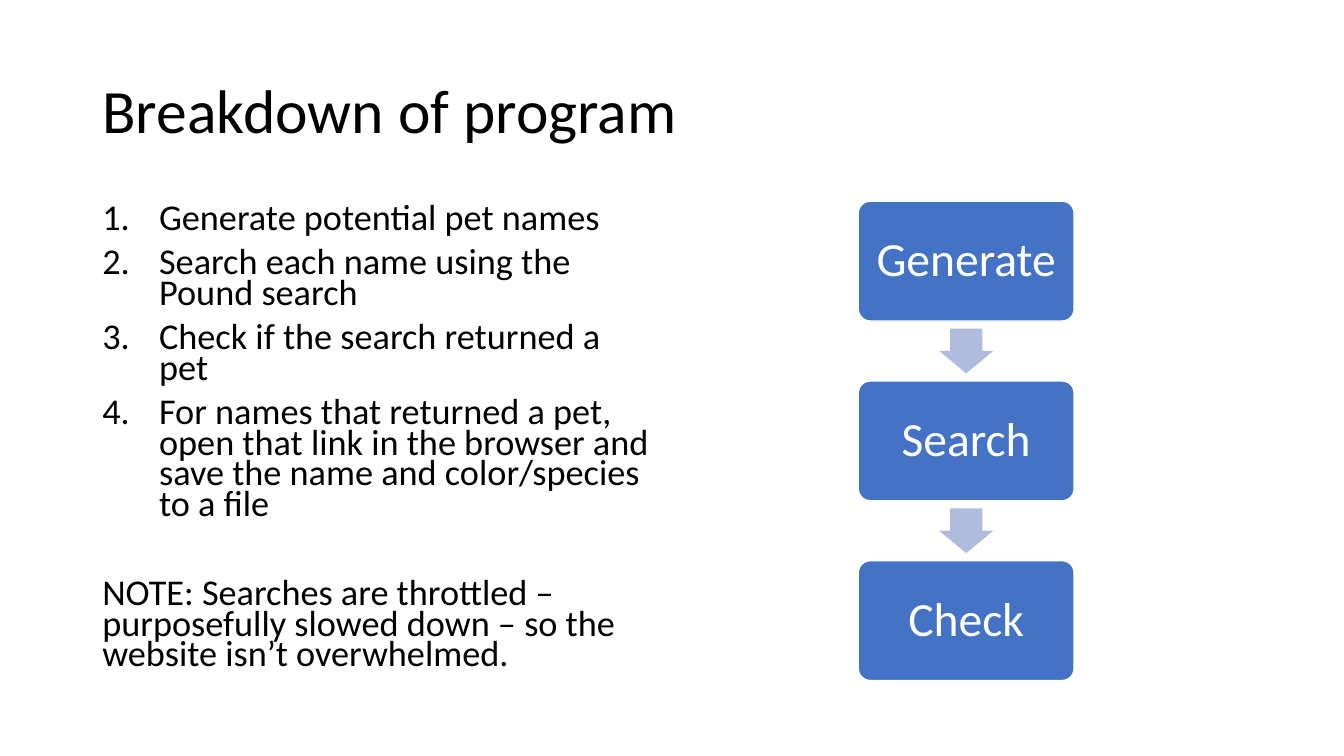
from pptx import Presentation
from pptx.dml.color import RGBColor
from pptx.enum.shapes import MSO_SHAPE
from pptx.enum.text import MSO_ANCHOR, MSO_AUTO_SIZE, PP_ALIGN
from pptx.oxml.xmlchemy import OxmlElement
from pptx.util import Cm, Pt

TITLE = "Breakdown of program"
STEPS = [
    "Generate potential pet names",
    "Search each name using the Pound search",
    "Check if the search returned a pet",
    "For names that returned a pet, open that link in the browser and "
    "save the name and color/species to a file",
]
NOTE = ("NOTE: Searches are throttled – purposefully slowed down – "
        "so the website isn’t overwhelmed.")
STAGES = ["Generate", "Search", "Check"]

COLORS = {"text": "000000", "stage": "4472C4", "arrow": "B0BCDE", "white": "FFFFFF"}
FONT = "Calibri"

# Lengths in centimetres
LEFT, BODY_TOP = 2.33, 5.07
NUMBER_INDENT = 1.43
STAGE_LEFT, STAGE_WIDTH, STAGE_HEIGHT, STAGE_PITCH = 21.63, 5.44, 3.02, 4.53
ARROW_WIDTH, ARROW_HEIGHT = 1.36, 1.13


def color(name):
    return RGBColor.from_string(COLORS[name])


def write(para, text, size, ink="text", align=PP_ALIGN.LEFT, spacing=0.9, before=0):
    para.alignment = align
    para.line_spacing = spacing
    para.space_before = Pt(before)
    span = para.add_run()
    span.text = text
    span.font.size = Pt(size)
    span.font.name = FONT
    span.font.color.rgb = color(ink)


def number(para):
    """Give the paragraph an automatic number with a hanging indent."""
    properties = para._p.get_or_add_pPr()
    properties.set("marL", str(Cm(NUMBER_INDENT)))
    properties.set("indent", str(-Cm(NUMBER_INDENT)))
    numbering = OxmlElement("a:buAutoNum")
    numbering.set("type", "arabicPeriod")
    properties.append(numbering)


def add_filled(page, kind, left, top, width, height, fill, adjustments):
    shape = page.shapes.add_shape(kind, Cm(left), Cm(top), Cm(width), Cm(height))
    shape.shadow.inherit = False
    shape.fill.solid()
    shape.fill.fore_color.rgb = color(fill)
    for index, value in enumerate(adjustments):
        shape.adjustments[index] = value
    return shape


def add_title(page):
    title = page.shapes.title
    title.left, title.top, title.width, title.height = Cm(LEFT), Cm(1.02), Cm(29.21), Cm(3.68)
    frame = title.text_frame
    frame.auto_size = MSO_AUTO_SIZE.NONE
    frame.vertical_anchor = MSO_ANCHOR.MIDDLE
    write(frame.paragraphs[0], TITLE, 44)


def add_body(page):
    box = page.shapes.add_textbox(Cm(LEFT), Cm(BODY_TOP), Cm(14.4), Cm(12.09))
    frame = box.text_frame
    frame.word_wrap = True
    body_format = {"size": 25.9, "spacing": 0.7}
    for index, step in enumerate(STEPS):
        para = frame.add_paragraph() if index else frame.paragraphs[0]
        write(para, step, before=10, **body_format)
        number(para)
    write(frame.add_paragraph(), NOTE, before=42, **body_format)


def add_flow(page):
    gap = STAGE_PITCH - STAGE_HEIGHT
    for index, stage in enumerate(STAGES):
        top = BODY_TOP + index * STAGE_PITCH
        box = add_filled(page, MSO_SHAPE.ROUNDED_RECTANGLE, STAGE_LEFT, top,
                         STAGE_WIDTH, STAGE_HEIGHT, "stage", [0.1])
        box.line.color.rgb = color("white")
        box.line.width = Pt(1)
        frame = box.text_frame
        frame.word_wrap = False
        frame.vertical_anchor = MSO_ANCHOR.MIDDLE
        write(frame.paragraphs[0], stage, 34, ink="white", align=PP_ALIGN.CENTER)
        if index < len(STAGES) - 1:
            arrow = add_filled(page, MSO_SHAPE.DOWN_ARROW,
                               STAGE_LEFT + (STAGE_WIDTH - ARROW_WIDTH) / 2,
                               top + STAGE_HEIGHT + (gap - ARROW_HEIGHT) / 2,
                               ARROW_WIDTH, ARROW_HEIGHT, "arrow", [0.6, 0.5])
            arrow.line.fill.background()


def main():
    deck = Presentation()
    deck.slide_width, deck.slide_height = Cm(33.87), Cm(19.05)
    page = deck.slides.add_slide(deck.slide_layouts[5])
    add_title(page)
    add_body(page)
    add_flow(page)
    deck.save("out.pptx")


if __name__ == "__main__":
    main()
